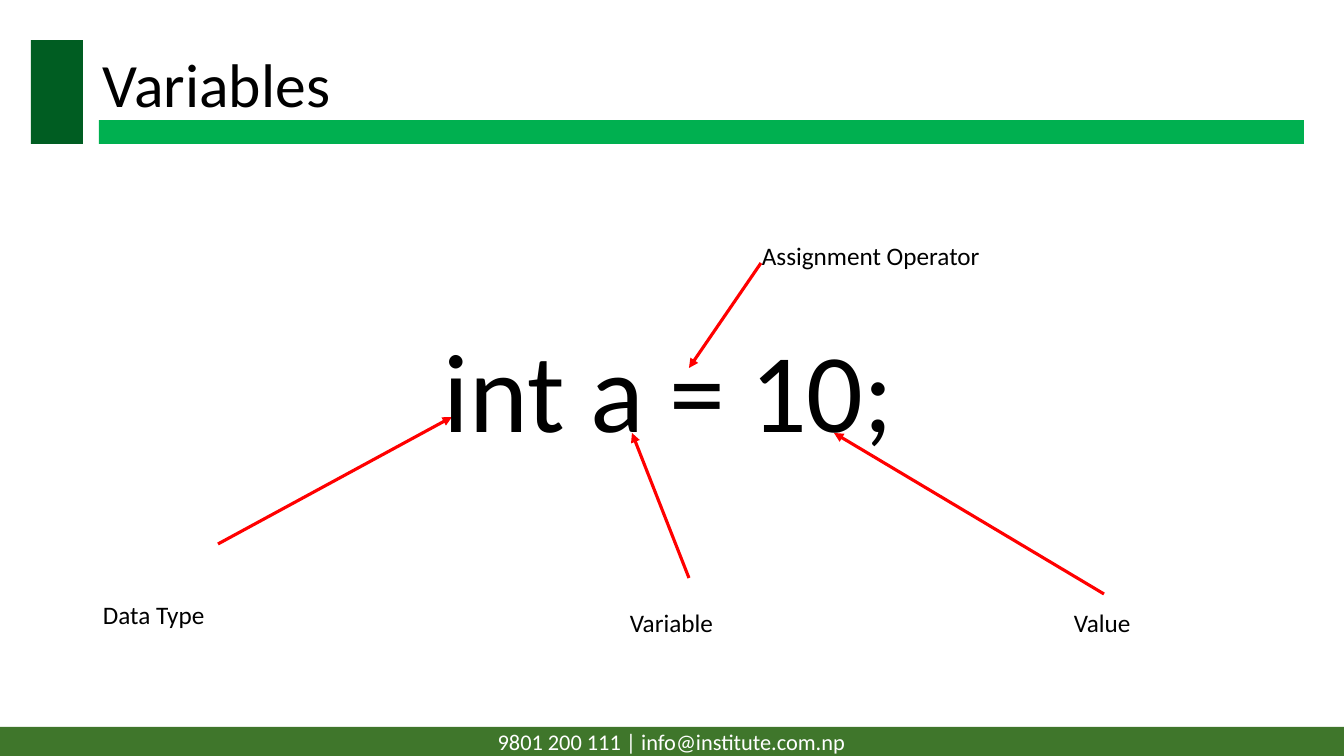
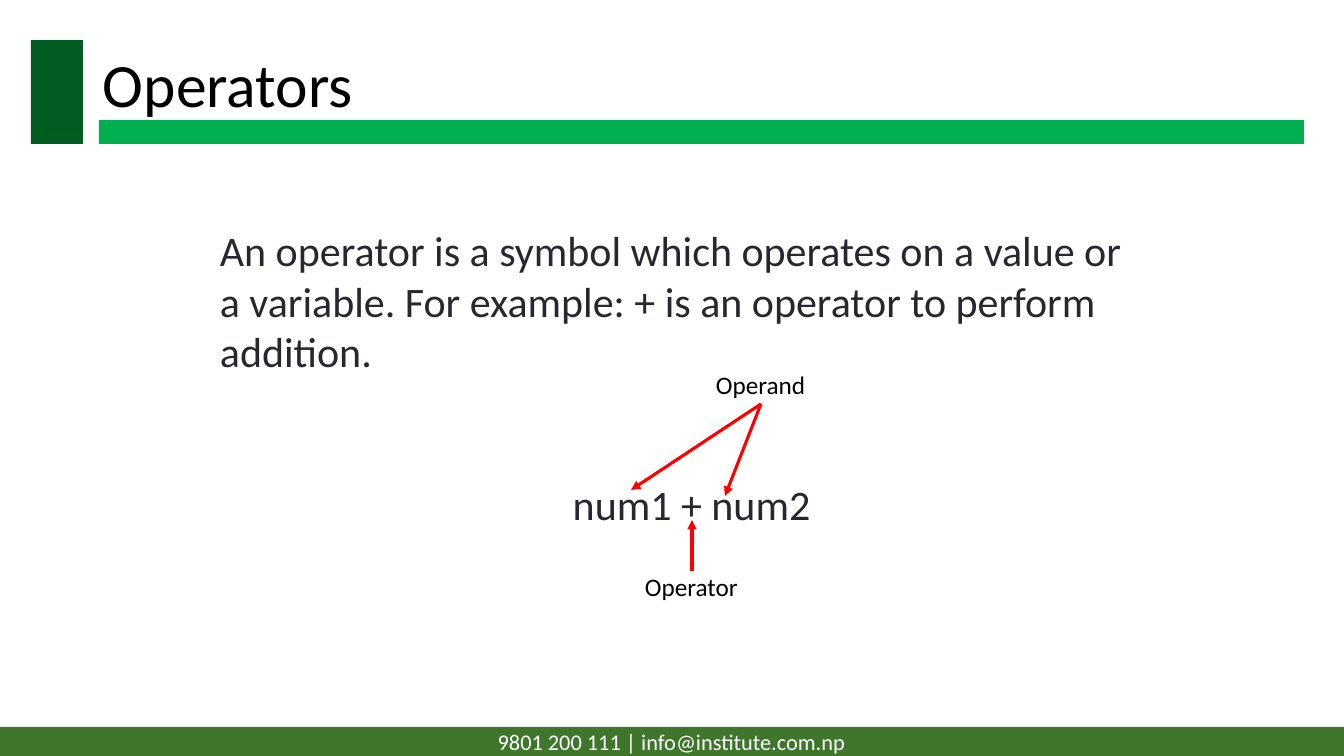
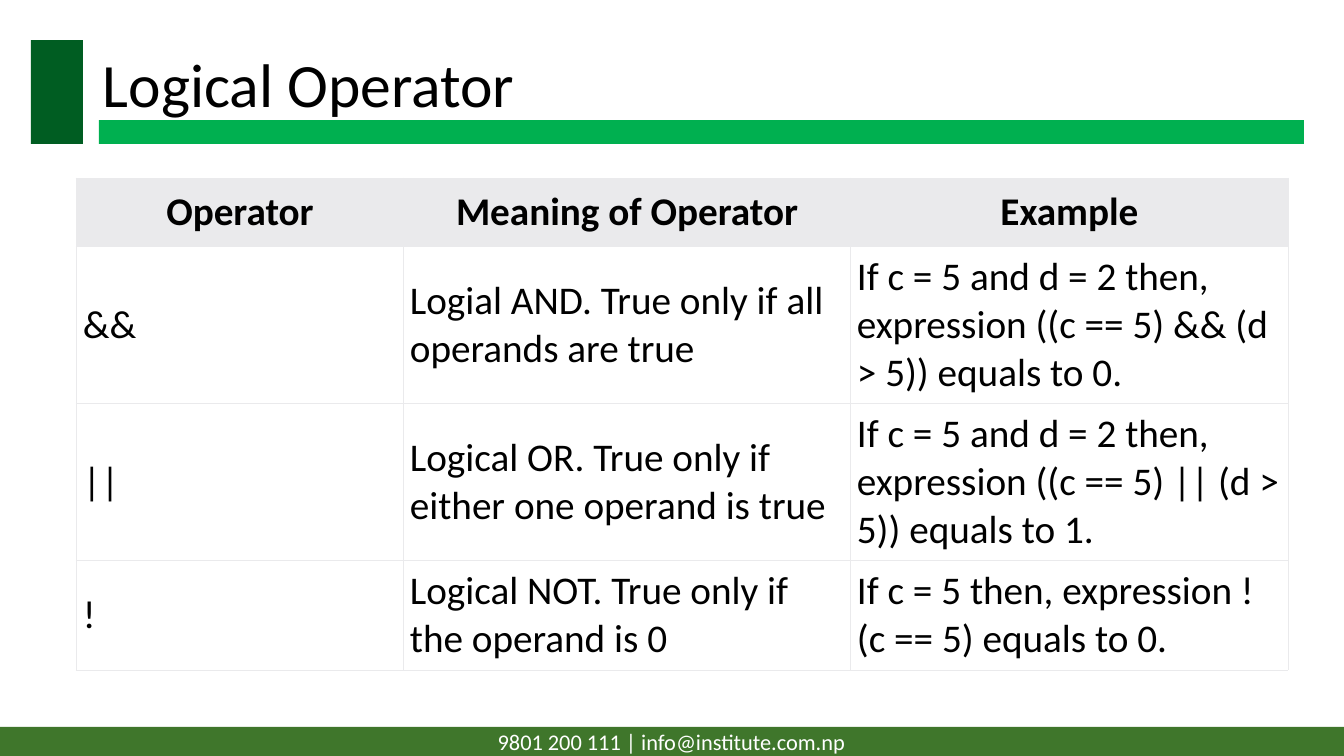
from lxml import etree
from pptx import Presentation, util as u
from pptx.dml.color import RGBColor
from pptx.enum import shapes as sh, text as tx
from pptx.oxml import ns

# Content: labels are (text, left, top, width); arrows are (from x, y, to x, y)
FOOT = "9801 200 111 | info@institute.com.np"
VARS = {
    "title": "Variables",
    "code": "int a = 10;",
    "labels": [("Data Type", 93, 594, 123), ("Variable", 620, 602, 105),
               ("Value", 1064, 602, 78), ("Assignment Operator", 752, 235, 240)],
    "arrows": [(218, 544, 452, 417), (689, 578, 632, 433),
               (1104, 594, 834, 433), (761, 263, 689, 368)],
}
OPS = {
    "title": "Operators",
    "body": "An operator is a symbol which operates on a value or a variable. "
            "For example:\u00a0+\u00a0is an operator to perform addition.",
    "code": "num1 + num2",
    "labels": [("Operator", 635, 566, 114), ("Operand", 706, 364, 111)],
    "arrows": [(692, 571, 692, 520), (761, 404, 631, 490), (761, 404, 725, 496)],
}
LOGIC = {
    "title": "Logical Operator",
    "rows": [
        ("Operator", "Meaning of Operator", "Example"),
        ("&&", "Logial AND. True only if all operands are true",
         "If c = 5 and d = 2 then, expression\u00a0((c == 5) && (d > 5))\u00a0equals to 0."),
        ("||", "Logical OR. True only if either one operand is true",
         "If c = 5 and d = 2 then, expression\u00a0((c == 5) || (d > 5))\u00a0equals to 1."),
        ("!", "Logical NOT. True only if the operand is 0",
         "If c = 5 then, expression\u00a0! (c == 5)\u00a0equals to 0."),
    ],
    "widths": (327, 447, 438),
    "heights": (68, 157, 157, 110),
}

# Style
FONT = "Calibri"
INK = {"black": "000000", "white": "FFFFFF", "body": "252830", "red": "FF0000",
       "bar": "00B050", "block": "005D22", "foot": "3F762B", "grey": "EAEAEC"}
WIDE, HIGH = 1344, 756
SCALE = 914400 / 100.8


def px(n):
    return u.Emu(round(n * SCALE))


def hue(name):
    return RGBColor.from_string(INK[name])


def style(par, size, color="black", bold=False, align=tx.PP_ALIGN.LEFT):
    font = par.font
    font.name, font.size, font.bold = FONT, u.Pt(size), bold
    font.color.rgb = hue(color)
    par.alignment = align


def label(slide, words, box, size, color="black", wrap=False):
    frame = slide.shapes.add_textbox(*map(px, box)).text_frame
    frame.word_wrap = wrap
    frame.text = words
    style(frame.paragraphs[0], size, color)
    return frame


def band(slide, box, color):
    shape = slide.shapes.add_shape(sh.MSO_SHAPE.RECTANGLE, *map(px, box))
    shape.shadow.inherit = False
    shape.fill.solid()
    shape.fill.fore_color.rgb = hue(color)
    shape.line.fill.background()
    return shape.text_frame


def arrow(slide, ends):
    line = slide.shapes.add_connector(sh.MSO_CONNECTOR.STRAIGHT, *map(px, ends))
    line.line.color.rgb = hue("red")
    line.line.width = u.Pt(2.25)
    etree.SubElement(line.line._get_or_add_ln(), ns.qn("a:tailEnd"), type="triangle")
    etree.SubElement(line._element.spPr, ns.qn("a:effectLst"))


def edge(cell):
    props = cell._tc.get_or_add_tcPr()
    for side in "LRTB":
        line = etree.SubElement(props, ns.qn("a:ln" + side), w=str(u.Pt(0.5)))
        fill = etree.SubElement(line, ns.qn("a:solidFill"))
        etree.SubElement(fill, ns.qn("a:srgbClr"), val=INK["grey"])


def page(deck, data):
    """Add a slide with the shared bands, title and footer, then its callouts."""
    slide = deck.slides.add_slide(deck.slide_layouts[6])
    band(slide, (99, 120, 1205, 24), "bar")
    band(slide, (31, 40, 52, 104), "block")
    foot = band(slide, (-1, 727, WIDE + 1, 29), "foot")
    foot.text = FOOT
    foot.vertical_anchor = tx.MSO_ANCHOR.MIDDLE
    style(foot.paragraphs[0], 16, "white", align=tx.PP_ALIGN.CENTER)
    head = label(slide, data["title"], (93, 15, 1159, 146), 44, wrap=True)
    head.vertical_anchor = tx.MSO_ANCHOR.MIDDLE
    head.paragraphs[0].line_spacing = 0.9
    for words, left, top, width in data.get("labels", ()):
        label(slide, words, (left, top, width, 40), 18)
    for ends in data.get("arrows", ()):
        arrow(slide, ends)
    return slide


deck = Presentation()
deck.slide_width, deck.slide_height = px(WIDE), px(HIGH)

# Variables
slide = page(deck, VARS)
label(slide, VARS["code"], (434, 316, 475, 146), 80)

# Operators: the sample line is indented below the definition
slide = page(deck, OPS)
frame = label(slide, OPS["body"], (210, 220, 924, 367), 30, "body", wrap=True)
code = frame.add_paragraph()
code.text = OPS["code"]
style(code, 30, "body")
code.space_before = u.Pt(73)
code._p.get_or_add_pPr().set("marL", str(u.Inches(3.5)))

# Logical operators
slide = page(deck, LOGIC)
rows, widths, heights = LOGIC["rows"], LOGIC["widths"], LOGIC["heights"]
grid = slide.shapes.add_table(len(rows), len(widths), px(76), px(178),
                              px(sum(widths)), px(sum(heights))).table
grid.first_row = grid.horz_banding = False
for col, width in zip(grid.columns, widths):
    col.width = px(width)
for r, row in enumerate(rows):
    grid.rows[r].height = px(heights[r])
    top = r == 0
    for c, words in enumerate(row):
        cell = grid.cell(r, c)
        cell.text = words
        cell.vertical_anchor = tx.MSO_ANCHOR.MIDDLE
        cell.margin_left, cell.margin_right = px(7), px(6)
        cell.margin_top, cell.margin_bottom = (px(10), px(10)) if top else (px(7), px(6))
        edge(cell)
        cell.fill.solid()
        cell.fill.fore_color.rgb = hue("grey" if top else "white")
        style(cell.text_frame.paragraphs[0], 28, bold=top,
              align=tx.PP_ALIGN.CENTER if top else tx.PP_ALIGN.LEFT)

deck.save("out.pptx")
